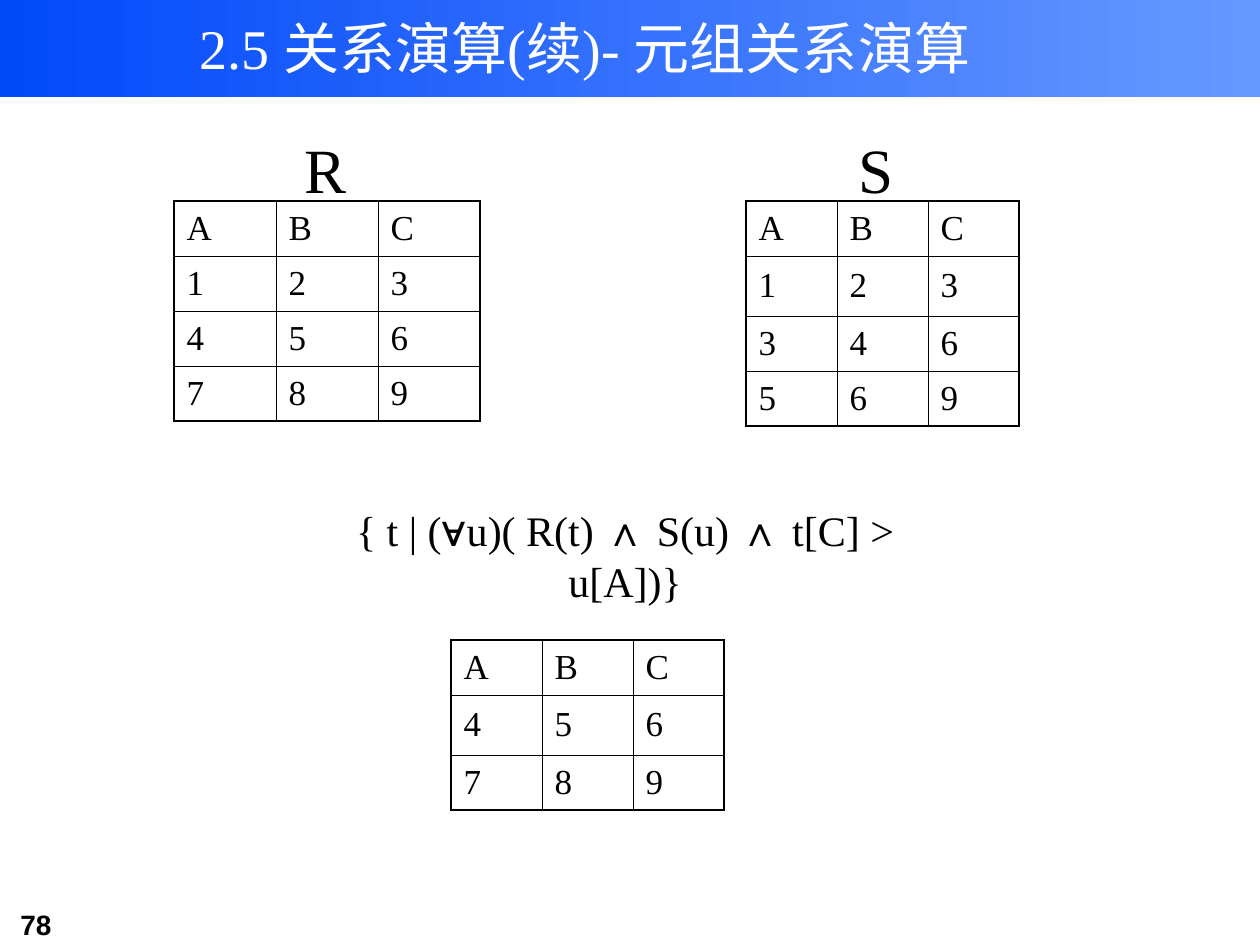
"""Build the tuple relational calculus slide with relations R, S and the query result."""
import dataclasses

import pptx
import pptx.dml.color
import pptx.enum.shapes
import pptx.enum.text
import pptx.oxml
import pptx.oxml.ns
import pptx.util


@dataclasses.dataclass(frozen=True)
class Theme:
    ink: str = "000000"
    white: str = "FFFFFF"
    banner: tuple = ("0249FA", "6699FF")
    serif: str = "Times New Roman"
    sans: str = "Arial"
    title: int = 32
    label: int = 36
    formula: int = 24
    cell: int = 20
    number: int = 16
    outer: float = 1.08
    inner: float = 0.45


THEME = Theme()
PX = 914400 // 126
ALIGN = pptx.enum.text.PP_ALIGN
ANCHOR = pptx.enum.text.MSO_ANCHOR


def add_span(para, text, size, font=THEME.serif, color=THEME.ink, bold=False):
    span = para.add_run()
    span.text = text
    span.font.size = pptx.util.Pt(size)
    span.font.name = font
    span.font.bold = bold
    span.font.color.rgb = pptx.dml.color.RGBColor.from_string(color)


def add_border(cell, side, width):
    border = pptx.oxml.parse_xml(
        f'<a:{side} {pptx.oxml.ns.nsdecls("a")} w="{pptx.util.Pt(width)}">'
        f'<a:solidFill><a:srgbClr val="{THEME.ink}"/></a:solidFill></a:{side}>'
    )
    cell._tc.get_or_add_tcPr().append(border)


deck = pptx.Presentation()
deck.slide_width = pptx.util.Inches(10)
deck.slide_height = pptx.util.Inches(7.5)
page = deck.slides.add_slide(deck.slide_layouts[6])

banner = page.shapes.add_shape(
    pptx.enum.shapes.MSO_SHAPE.RECTANGLE, 0, 0, deck.slide_width, 97 * PX
)
banner.shadow.inherit = False
banner.line.fill.background()
banner.fill.gradient()
banner.fill.gradient_angle = 0
for stop, position, color in zip(banner.fill.gradient_stops, (0, 1), THEME.banner):
    stop.position = position
    stop.color.rgb = pptx.dml.color.RGBColor.from_string(color)

formula = [
    ("{ t | (", THEME.serif),
    ("∀", THEME.sans),
    ("u)( R(t) ", THEME.serif),
    ("∧", THEME.sans),
    (" S(u) ", THEME.serif),
    ("∧", THEME.sans),
    (" t[C] > u[A])}", THEME.serif),
]
title = [("2.5 关系演算(续)- 元组关系演算", THEME.serif)]
texts = [
    ((8, 898, 154, 47), 10, ALIGN.LEFT, ANCHOR.TOP, THEME.number, THEME.ink, True, [("78", THEME.sans)]),
    ((278, 117, 95, 88), 14, ALIGN.CENTER, ANCHOR.TOP, THEME.label, THEME.ink, False, [("R", THEME.serif)]),
    ((829, 117, 95, 88), 14, ALIGN.CENTER, ANCHOR.TOP, THEME.label, THEME.ink, False, [("S", THEME.serif)]),
    ((131, 5, 908, 84), 6, ALIGN.CENTER, ANCHOR.MIDDLE, THEME.title, THEME.white, False, title),
    ((307, 494, 636, 63), 11, ALIGN.CENTER, ANCHOR.TOP, THEME.formula, THEME.ink, False, formula),
]
for place, inset, align, anchor, size, color, bold, spans in texts:
    box = page.shapes.add_textbox(*(length * PX for length in place))
    frame = box.text_frame
    frame.word_wrap = True
    frame.margin_top = inset * PX
    frame.vertical_anchor = anchor
    para = frame.paragraphs[0]
    para.alignment = align
    for text, font in spans:
        add_span(para, text, size, font, color, bold)

relations = [
    (174, 201, 102, (55, 55, 55, 55), ("ABC", "123", "456", "789")),
    (746, 201, 91, (55, 60, 55, 55), ("ABC", "123", "346", "569")),
    (451, 640, 91, (55, 60, 55), ("ABC", "456", "789")),
]
for left, top, column_width, heights, rows in relations:
    columns = len(rows[0])
    table = page.shapes.add_table(
        len(rows), columns, left * PX, top * PX, columns * column_width * PX, sum(heights) * PX
    ).table
    table.first_row = False
    table.horz_banding = False
    for column in table.columns:
        column.width = column_width * PX
    for row_index, values in enumerate(rows):
        table.rows[row_index].height = heights[row_index] * PX
        for column_index, value in enumerate(values):
            cell = table.cell(row_index, column_index)
            cell.vertical_anchor = ANCHOR.MIDDLE
            add_span(cell.text_frame.paragraphs[0], value, THEME.cell)
            edges = {
                "lnL": column_index == 0,
                "lnR": column_index == columns - 1,
                "lnT": row_index == 0,
                "lnB": row_index == len(rows) - 1,
            }
            for side, is_outer in edges.items():
                add_border(cell, side, THEME.outer if is_outer else THEME.inner)
            cell.fill.background()

deck.save("out.pptx")
